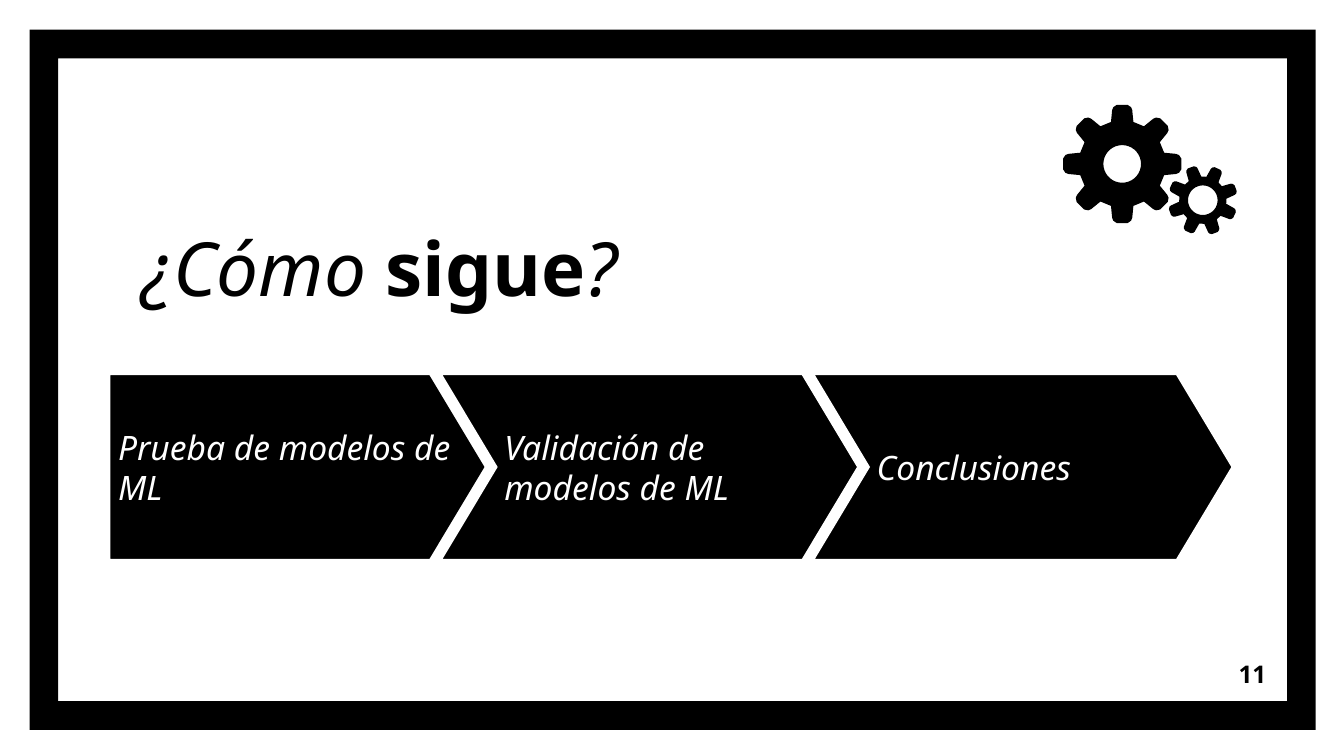
"""Build the "¿Cómo sigue?" slide: a framed title, three process steps and two gears."""
import math
from dataclasses import dataclass

import lxml.etree
import pptx
import pptx.dml.color
import pptx.enum.shapes
import pptx.enum.text
import pptx.oxml.ns
import pptx.util

Inches = pptx.util.Inches
Pt = pptx.util.Pt
MSO_SHAPE = pptx.enum.shapes.MSO_SHAPE
PP_ALIGN = pptx.enum.text.PP_ALIGN
MSO_ANCHOR = pptx.enum.text.MSO_ANCHOR


@dataclass(frozen=True)
class Theme:
    """Colours, font and type sizes of the slide."""
    ink: pptx.dml.color.RGBColor = pptx.dml.color.RGBColor(0, 0, 0)
    paper: pptx.dml.color.RGBColor = pptx.dml.color.RGBColor(255, 255, 255)
    font: str = "Noto Sans"
    title: int = 40
    step: int = 18
    number: int = 13


THEME = Theme()

STEPS = [
    ("Prueba de modelos de ML", MSO_SHAPE.PENTAGON, 0.78, 3.11),
    ("Validación de modelos de ML", MSO_SHAPE.CHEVRON, 3.22, 3.34),
    ("Conclusiones", MSO_SHAPE.CHEVRON, 5.99, 3.22),
]


def setup_text(sp, anchor):
    """Set wrapping, margins and anchor, and return the text frame."""
    tf = sp.text_frame
    tf.word_wrap = True
    tf.auto_size = pptx.enum.text.MSO_AUTO_SIZE.NONE
    tf.vertical_anchor = anchor
    tf.margin_left = tf.margin_right = tf.margin_top = tf.margin_bottom = Inches(0.1)
    return tf


def style_paragraph(p, size, color, align=PP_ALIGN.LEFT, **flags):
    """Apply the theme font and the given flags to a paragraph."""
    p.alignment = align
    p.font.name = THEME.font
    p.font.size = Pt(size)
    p.font.color.rgb = color
    for name, value in flags.items():
        setattr(p.font, name, value)


def fill_ink(sp):
    """Give a shape a plain ink fill without line or shadow."""
    sp.shadow.inherit = False
    sp.fill.solid()
    sp.fill.fore_color.rgb = THEME.ink
    sp.line.fill.background()


def outline_paper(sp):
    """Give a shape a thick paper-coloured line with sharp corners."""
    sp.line.color.rgb = THEME.paper
    sp.line.width = Pt(6)
    ln = sp.element.spPr.find(pptx.oxml.ns.qn("a:ln"))
    lxml.etree.SubElement(ln, pptx.oxml.ns.qn("a:miter")).set("lim", "800000")


def add_frame(s):
    """Add the heavy border around the slide."""
    sp = s.shapes.add_shape(MSO_SHAPE.FRAME, Inches(0.22), Inches(0.22), Inches(9.57), Inches(5.21))
    sp.adjustments[0] = 0.041
    fill_ink(sp)


def set_title(s):
    """Place the title and emphasise its key word."""
    sp = s.shapes.title
    sp.left, sp.top, sp.width, sp.height = Inches(0.95), Inches(0.93), Inches(5.57), Inches(1.49)
    p = setup_text(sp, MSO_ANCHOR.BOTTOM).paragraphs[0]
    style_paragraph(p, THEME.title, THEME.ink)
    for text, bold in (("¿Cómo", False), (" sigue", True), ("?", False)):
        r = p.add_run()
        r.text = text
        r.font.bold = bold
        r.font.italic = not bold


def add_step(s, text, kind, left, width):
    """Add one arrow of the process."""
    sp = s.shapes.add_shape(kind, Inches(left), Inches(2.75), Inches(width), Inches(1.45))
    sp.adjustments[0] = 0.3
    fill_ink(sp)
    outline_paper(sp)
    p = setup_text(sp, MSO_ANCHOR.MIDDLE).paragraphs[0]
    p.text = text
    style_paragraph(p, THEME.step, THEME.paper, italic=True)


def add_gear(s, cx, cy, radius, root, hole, turn=0, teeth=8):
    """Add a gear with a round hole, its first tooth turned from the top."""
    def place(x, y, angle):
        """Rotate a point of the upright tooth about the gear's centre."""
        a = math.radians(angle)
        return (Inches(cx + x * math.cos(a) + y * math.sin(a)),
                Inches(cy + x * math.sin(a) - y * math.cos(a)))

    half = [(0.19, root), (0.17, 0.91), (0.15, 0.96), (0.09, 1)]
    tooth = [(-x, y) for x, y in half] + half[::-1]
    outline = [place(x * radius, y * radius, turn + i * 360 / teeth)
               for i in range(teeth) for x, y in tooth]
    circle = [place(0, hole, -angle) for angle in range(0, 360, 10)]
    builder = s.shapes.build_freeform(*outline[0])
    builder.add_line_segments(outline[1:], close=True)
    builder.move_to(*circle[0])
    builder.add_line_segments(circle[1:], close=True)
    fill_ink(builder.convert_to_shape())


def add_slide_number(s, text):
    """Add the number in the lower right corner."""
    sp = s.shapes.add_textbox(Inches(8.92), Inches(4.8), Inches(0.6), Inches(0.43))
    p = setup_text(sp, MSO_ANCHOR.MIDDLE).paragraphs[0]
    p.text = text
    style_paragraph(p, THEME.number, THEME.ink, PP_ALIGN.RIGHT, bold=True)


def main():
    """Build and save the slide."""
    prs = pptx.Presentation()
    prs.slide_width, prs.slide_height = Inches(10), Inches(10 * 9 / 16)
    s = prs.slides.add_slide(prs.slide_layouts[5])
    s.background.fill.solid()
    s.background.fill.fore_color.rgb = THEME.paper
    add_frame(s)
    set_title(s)
    for step in STEPS:
        add_step(s, *step)
    add_gear(s, 8.35, 1.22, radius=0.44, root=0.71, hole=0.14)
    add_gear(s, 8.95, 1.49, radius=0.26, root=0.65, hole=0.11, turn=-20)
    add_slide_number(s, "11")
    prs.save("out.pptx")


if __name__ == "__main__":
    main()
